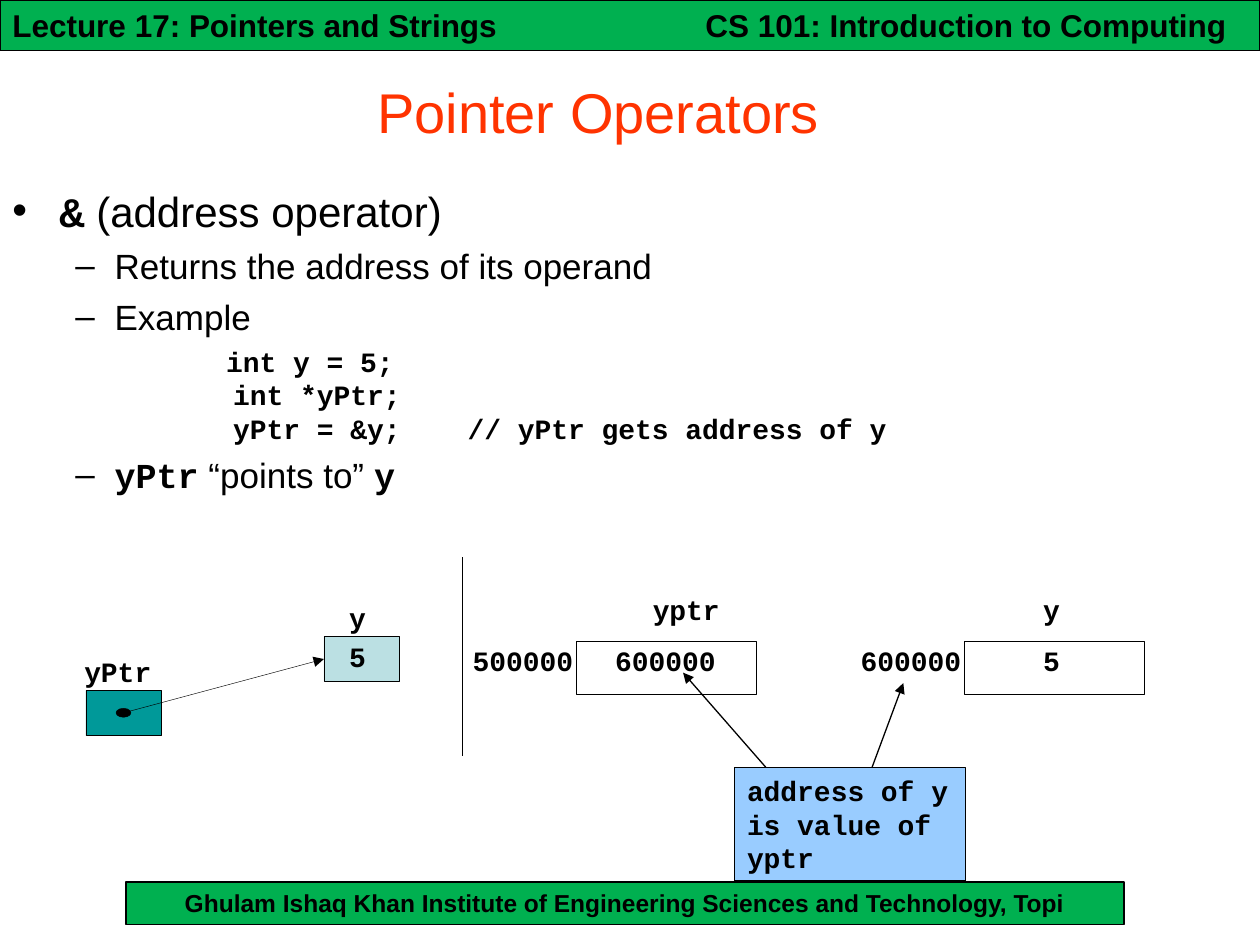
from lxml.etree import SubElement
from pptx import Presentation
from pptx.dml.color import RGBColor
from pptx.enum.shapes import MSO_CONNECTOR, MSO_SHAPE
from pptx.enum.text import MSO_ANCHOR, PP_ALIGN
from pptx.oxml.ns import qn
from pptx.util import Cm, Pt

COLOURS = {"ink": "000000", "bar": "00B050", "title": "FF3300", "pointer": "009999",
           "value": "BBE0E3", "callout": "99CCFF"}
SANS, MONO = "Arial", "Courier New"


class SlideBuilder:
    def __init__(self, page):
        self.page = page

    def colour(self, name):
        return RGBColor.from_string(COLOURS[name])

    def style(self, span, size, font=SANS, bold=False, colour="ink"):
        span.font.size, span.font.name, span.font.bold = Pt(size), font, bold
        span.font.color.rgb = self.colour(colour)

    def set_text(self, shape, words, size, font=SANS, bold=True, colour="ink",
                 align=PP_ALIGN.LEFT, anchor=MSO_ANCHOR.TOP):
        frame = shape.text_frame
        frame.text = words
        frame.word_wrap, frame.vertical_anchor = True, anchor
        para = frame.paragraphs[0]
        para.alignment = align
        for span in para.runs:
            self.style(span, size, font, bold, colour)

    def text(self, left, top, width, height, words, size, **look):
        box = self.page.shapes.add_textbox(Cm(left), Cm(top), Cm(width), Cm(height))
        self.set_text(box, words, size, **look)
        return box

    def label(self, left, top, width, height, words, spacing):
        """Add a small monospaced caption without margins."""
        box = self.text(left, top, width, height, words, 16, font=MONO)
        frame = box.text_frame
        frame.margin_left = frame.margin_right = frame.margin_top = frame.margin_bottom = 0
        frame.word_wrap = False
        frame.paragraphs[0].line_spacing = spacing

    def shape(self, left, top, width, height, fill=None, line=0.25, kind=MSO_SHAPE.RECTANGLE):
        shape = self.page.shapes.add_shape(kind, Cm(left), Cm(top), Cm(width), Cm(height))
        shape.shadow.inherit = False
        if fill:
            shape.fill.solid()
            shape.fill.fore_color.rgb = self.colour(fill)
        else:
            shape.fill.background()
        shape.line.color.rgb = self.colour("ink")
        shape.line.width = Pt(line)
        return shape

    def line(self, start, end, width=0.75, arrow=True):
        connector = self.page.shapes.add_connector(
            MSO_CONNECTOR.STRAIGHT, *(Cm(value) for value in start + end))
        connector.line.color.rgb = self.colour("ink")
        connector.line.width = Pt(width)
        properties = connector._element.spPr
        if arrow:
            SubElement(properties.find(qn("a:ln")), qn("a:tailEnd"), type="triangle")
        SubElement(properties, qn("a:effectLst"))
        return connector

    def paragraph(self, para, spans, size, level, margin, indent, before, bullet=None):
        """Fill a paragraph with (words, font) spans, hung on an optional bullet."""
        para.level, para.space_before = level, Pt(before)
        for words, font in spans:
            for number, row in enumerate(words.split("\n")):
                if number:
                    para.add_line_break()
                span = para.add_run()
                span.text = row
                self.style(span, size, font, bold=font == MONO)
        properties = para._p.get_or_add_pPr()
        properties.set("marL", str(Cm(margin)))
        properties.set("indent", str(Cm(indent)))
        if bullet:
            SubElement(properties, qn("a:buFont"), typeface=SANS)
            SubElement(properties, qn("a:buChar"), char=bullet)
        else:
            SubElement(properties, qn("a:buNone"))


def add_bars(builder):
    footer = builder.shape(2.54, 17.78, 20.12, 0.86, "bar", 0.75)
    builder.set_text(footer, "Ghulam Ishaq Khan Institute of Engineering Sciences and Technology, Topi",
                     14, align=PP_ALIGN.CENTER)
    header = builder.shape(0, 0, 25.4, 1.02, "bar", 0.75)
    builder.set_text(header, "Lecture 17: Pointers and Strings", 18)
    builder.text(13.97, 0, 11.43, 1.02, "CS 101: Introduction to Computing", 18)


def add_body(builder):
    builder.text(0, 1.07, 24.13, 2.34, "Pointer Operators", 32, bold=False, colour="title",
                 align=PP_ALIGN.CENTER, anchor=MSO_ANCHOR.MIDDLE)
    main_point = dict(size=24, level=0, margin=0.95, indent=-0.95, before=6, bullet="•")
    sub_point = dict(size=20, level=1, margin=2.06, indent=-0.79, before=5, bullet="–")
    code = dict(size=16, level=3, margin=4.45, indent=-0.14, before=4)
    outline = [
        ([("&", MONO), (" (address operator)", SANS)], main_point),
        ([("Returns the address of its operand", SANS)], sub_point),
        ([("Example", SANS)], sub_point),
        ([("int y = 5;\nint *yPtr;\nyPtr = &y;    // yPtr gets address of y", MONO)], code),
        ([("yPtr", MONO), (" “points to” ", SANS), ("y", MONO)], sub_point),
    ]
    frame = builder.text(0, 3.61, 25.4, 14.17, "", 24).text_frame
    for number, (spans, look) in enumerate(outline):
        para = frame.add_paragraph() if number else frame.paragraphs[0]
        builder.paragraph(para, spans, **look)


def add_pointer_diagram(builder):
    builder.shape(1.73, 13.92, 1.52, 0.91, "pointer")
    value = builder.shape(6.53, 12.83, 1.52, 0.91, "value")
    builder.line((2.49, 14.37), (6.53, 13.29), 0.25).end_connect(value, 1)
    builder.shape(2.34, 14.28, 0.3, 0.18, "ink", kind=MSO_SHAPE.OVAL)
    for left, top, words in [(1.7, 13.36, "yPtr"), (7.04, 12.29, "y"), (7.04, 13.06, "5")]:
        builder.label(left, top, 0.4 * len(words), 0.53, words, 0.72)


def add_memory_diagram(builder):
    builder.line((9.32, 11.23), (9.32, 15.24), arrow=False)
    cells = [(11.61, "yptr", 13.16, "500000", "600000", 12.4),
             (19.43, "y", 21.03, "600000", "5", 21.03)]
    for left, name, name_left, address, content, content_left in cells:
        builder.shape(left, 12.93, 3.63, 1.06)
        for label_left, top, words in [(name_left, 12.07, name), (left - 2.08, 13.11, address),
                                       (content_left, 13.11, content)]:
            builder.label(label_left, top, 0.35 * len(words), 0.81, words, 0.8)
    callout = builder.shape(14.81, 15.47, 4.65, 2.29, "callout", 0.75)
    builder.set_text(callout, "address of y is value of yptr", 16, font=MONO)
    builder.line((17.58, 15.47), (18.21, 13.77))
    builder.line((15.44, 15.47), (13.77, 13.56))


def main():
    deck = Presentation()
    deck.slide_width, deck.slide_height = Cm(25.4), Cm(19.05)
    builder = SlideBuilder(deck.slides.add_slide(deck.slide_layouts[6]))
    add_bars(builder)
    add_body(builder)
    add_pointer_diagram(builder)
    add_memory_diagram(builder)
    deck.save("out.pptx")


if __name__ == "__main__":
    main()
